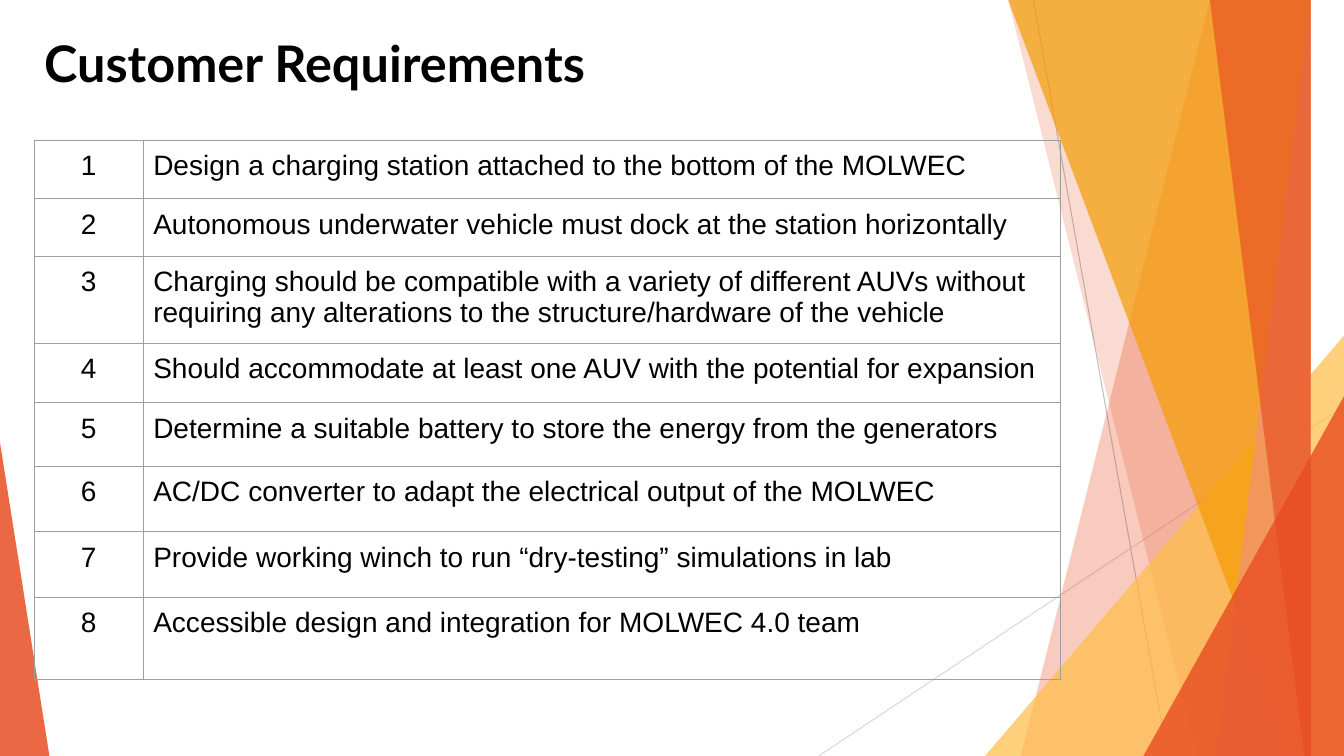
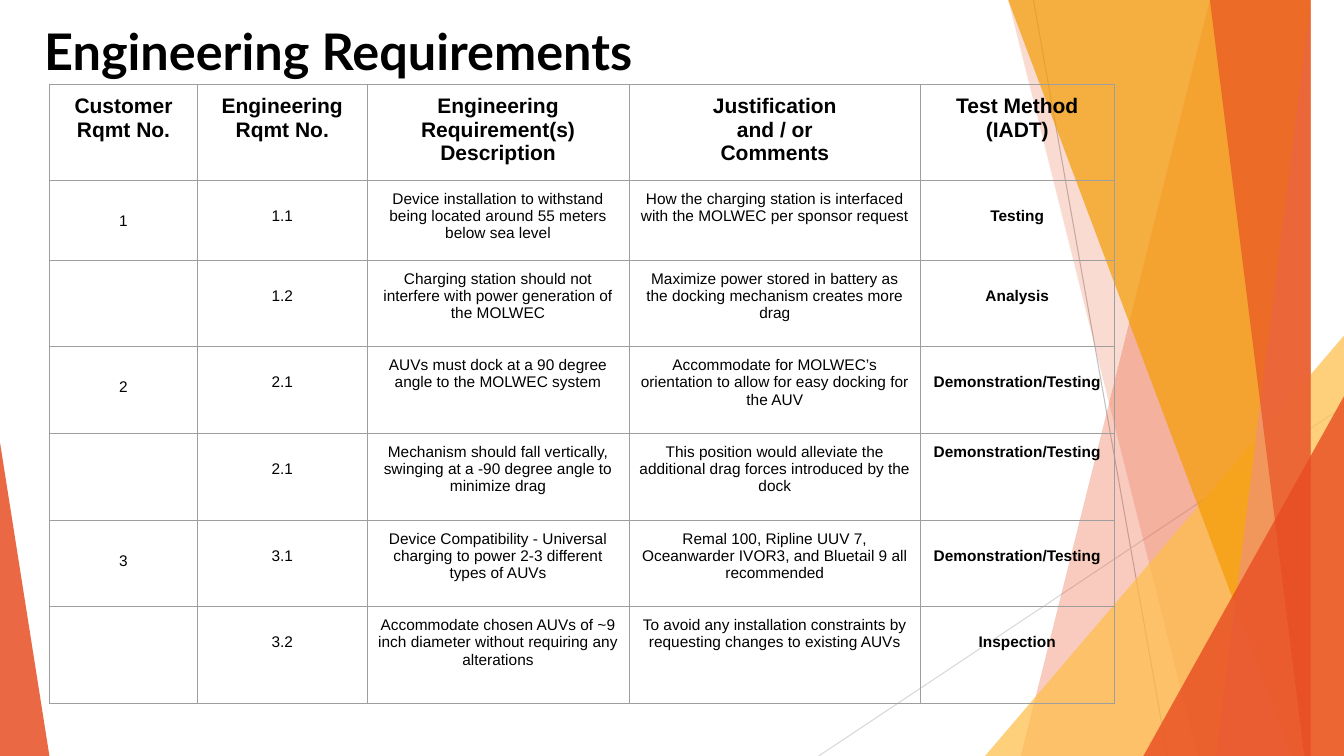
from dataclasses import dataclass

from lxml import etree
from pptx import Presentation
from pptx import util as u
from pptx.dml.color import RGBColor
from pptx.enum import shapes, text
from pptx.oxml.ns import qn


@dataclass(frozen=True)
class Theme:
    ink: str = "000000"
    grid: str = "9E9E9E"
    red: str = "E84C22"
    salmon: str = "F19279"
    amber: str = "F49C00"
    gold: str = "FFBD47"
    title_font: str = "Lato"
    body_font: str = "Arial"
    title_size: int = 36
    list_size: int = 20
    head_size: int = 15
    cell_size: int = 11
    hairline: float = 0.75
    inset: float = 0.1


THEME = Theme()
WIDTH, HEIGHT = 13.33, 7.5
CENTER, LEFT = text.PP_ALIGN.CENTER, text.PP_ALIGN.LEFT

RAYS = [((10.25, 0), (11.58, HEIGHT), "BFBFBF"), ((WIDTH, 4.03), (8.12, HEIGHT), "D8D8D8")]
FACETS = [
    ("band", (12.28, 10.04), THEME.red, 29),
    ("band", (10.5, 11.83), THEME.red, 20),
    ("triangle", (9.77, 3.33, 3.56, 1), THEME.gold, 71),
    ("band", (10.21, 12.91), THEME.amber, 69),
    ("band", (13.03, 11.92), THEME.salmon, 69),
    ("band", (11.96, 13.18), THEME.red, 64),
    ("triangle", (11.34, 3.93, 1.99, 1), THEME.red, 80),
    ("triangle", (0, 4.39, 0.49, 0), THEME.red, 84),
]

CUSTOMER_NEEDS = [
    "Design a charging station attached to the bottom of the MOLWEC",
    "Autonomous underwater vehicle must dock at the station horizontally",
    "Charging should be compatible with a variety of different AUVs without "
    "requiring any alterations to the structure/hardware of the vehicle",
    "Should accommodate at least one AUV with the potential for expansion",
    "Determine a suitable battery to store the energy from the generators",
    "AC/DC converter to adapt the electrical output of the MOLWEC",
    "Provide working winch to run “dry-testing” simulations in lab",
    "Accessible design and integration for MOLWEC 4.0 team",
]
NEED_COLUMNS = [1.08, 9.1]
NEED_ROWS = [0.58, 0.57, 0.82, 0.59, 0.63, 0.65, 0.65, 0.81]

HEADINGS = [
    "Customer Rqmt No.",
    "Engineering Rqmt No.",
    "Engineering Requirement(s) Description",
    "Justification\nand / or\nComments",
    "Test Method\n(IADT)",
]
ENGINEERING_SPECS = [
    ("1", "1.1",
     "Device installation to withstand being located around 55 meters below sea level",
     "How the charging station is interfaced with the MOLWEC per sponsor request",
     "Testing"),
    ("", "1.2",
     "Charging station should not interfere with power generation of the MOLWEC",
     "Maximize power stored in battery as the docking mechanism creates more drag",
     "Analysis"),
    ("2", "2.1",
     "AUVs must dock at a 90 degree angle to the MOLWEC system",
     "Accommodate for MOLWEC’s orientation to allow for easy docking for the AUV",
     "Demonstration/Testing"),
    ("", "2.1",
     "Mechanism should fall vertically, swinging at a -90 degree angle to minimize drag",
     "This position would alleviate the additional drag forces introduced by the dock",
     "Demonstration/Testing"),
    ("3", "3.1",
     "Device Compatibility - Universal charging to power 2-3 different types of AUVs",
     "Remal 100, Ripline UUV 7, Oceanwarder IVOR3, and Bluetail 9 all recommended",
     "Demonstration/Testing"),
    ("", "3.2",
     "Accommodate chosen AUVs of ~9 inch diameter without requiring any alterations",
     "To avoid any installation constraints by requesting changes to existing AUVs",
     "Inspection"),
]
SPEC_COLUMNS = [1.47, 1.68, 2.6, 2.89, 1.92]
SPEC_ROWS = [0.95, 0.79, 0.86, 0.86, 0.86, 0.86, 0.96]
SPEC_DROPS = [0.32, 0.27, THEME.inset, THEME.inset, 0.27]
RAISED_METHOD = (3, 4)


def write(frame, wording, size, font=THEME.body_font, bold=False, align=LEFT):
    frame.text = wording
    for paragraph in frame.paragraphs:
        paragraph.alignment = align
        paragraph.font.size = u.Pt(size)
        for run in paragraph.runs:
            run.font.name = font
            run.font.size = u.Pt(size)
            run.font.bold = bold
            run.font.color.rgb = RGBColor.from_string(THEME.ink)


def paint(facet, color, opacity):
    facet.shadow.inherit = False
    facet.line.fill.background()
    facet.fill.solid()
    facet.fill.fore_color.rgb = RGBColor.from_string(color)
    tint = facet.fill._xPr.find(qn("a:solidFill")).find(qn("a:srgbClr"))
    etree.SubElement(tint, qn("a:alpha")).set("val", str(opacity * 1000))


def add_band(slide, top_x, bottom_x):
    builder = slide.shapes.build_freeform(top_x, 0, scale=u.Inches(1))
    builder.add_line_segments([(WIDTH, 0), (WIDTH, HEIGHT), (bottom_x, HEIGHT)], close=True)
    return builder.convert_to_shape()


def add_triangle(slide, left, top, width, apex):
    triangle = slide.shapes.add_shape(
        shapes.MSO_SHAPE.ISOSCELES_TRIANGLE,
        *map(u.Inches, (left, top, width, HEIGHT - top)))
    triangle.adjustments[0] = apex
    return triangle


def add_backdrop(slide):
    for start, end, color in RAYS:
        ray = slide.shapes.add_connector(
            shapes.MSO_CONNECTOR.STRAIGHT, *map(u.Inches, start + end))
        ray.line.color.rgb = RGBColor.from_string(color)
        ray.line.width = u.Pt(THEME.hairline)
        etree.SubElement(ray._element.spPr, qn("a:effectLst"))
    draw = {"band": add_band, "triangle": add_triangle}
    for kind, geometry, color, opacity in FACETS:
        paint(draw[kind](slide, *geometry), color, opacity)


def add_title(slide, wording, top):
    frame = slide.shapes.add_textbox(*map(u.Inches, (0.34, top, 9.97, 0.81))).text_frame
    frame.word_wrap = True
    frame.margin_left = frame.margin_right = u.Inches(THEME.inset)
    frame.margin_top = frame.margin_bottom = u.Inches(THEME.inset)
    write(frame, wording, THEME.title_size, font=THEME.title_font, bold=True)


def outline(cell):
    properties = cell._tc.get_or_add_tcPr()
    for side in ("a:lnL", "a:lnR", "a:lnT", "a:lnB"):
        border = etree.SubElement(properties, qn(side), w=str(u.Pt(THEME.hairline)))
        ink = etree.SubElement(border, qn("a:solidFill"))
        etree.SubElement(ink, qn("a:srgbClr"), val=THEME.grid)


def add_grid(slide, left, top, columns, rows):
    grid = slide.shapes.add_table(
        len(rows), len(columns),
        *map(u.Inches, (left, top, sum(columns), sum(rows)))).table
    grid.first_row = grid.horz_banding = False
    for column, width in zip(grid.columns, columns):
        column.width = u.Inches(width)
    for row, height in zip(grid.rows, rows):
        row.height = u.Inches(height)
    for cell in grid.iter_cells():
        outline(cell)
        cell.fill.background()
        cell.margin_left = cell.margin_right = u.Inches(THEME.inset)
        cell.margin_top = cell.margin_bottom = u.Inches(THEME.inset)
    return grid


def add_page(deck, title, title_top):
    slide = deck.slides.add_slide(deck.slide_layouts[6])
    add_backdrop(slide)
    add_title(slide, title, title_top)
    return slide


def customer_page(deck):
    slide = add_page(deck, "Customer Requirements", 0.22)
    grid = add_grid(slide, 0.34, 1.39, NEED_COLUMNS, NEED_ROWS)
    for index, need in enumerate(CUSTOMER_NEEDS):
        write(grid.cell(index, 0).text_frame, str(index + 1), THEME.list_size, align=CENTER)
        write(grid.cell(index, 1).text_frame, need, THEME.list_size)


def engineering_page(deck):
    slide = add_page(deck, "Engineering Requirements", 0.1)
    grid = add_grid(slide, 0.49, 0.84, SPEC_COLUMNS, SPEC_ROWS)
    for column, heading in enumerate(HEADINGS):
        write(grid.cell(0, column).text_frame, heading, THEME.head_size,
              bold=True, align=CENTER)
    method_column = len(HEADINGS) - 1
    for index, spec in enumerate(ENGINEERING_SPECS):
        for column, (wording, drop) in enumerate(zip(spec, SPEC_DROPS)):
            cell = grid.cell(index + 1, column)
            if (index, column) != RAISED_METHOD:
                cell.margin_top = u.Inches(drop)
            write(cell.text_frame, wording, THEME.cell_size,
                  bold=column == method_column, align=CENTER)


def main():
    deck = Presentation()
    deck.slide_width, deck.slide_height = u.Inches(WIDTH), u.Inches(HEIGHT)
    customer_page(deck)
    engineering_page(deck)
    deck.save("out.pptx")


if __name__ == "__main__":
    main()
